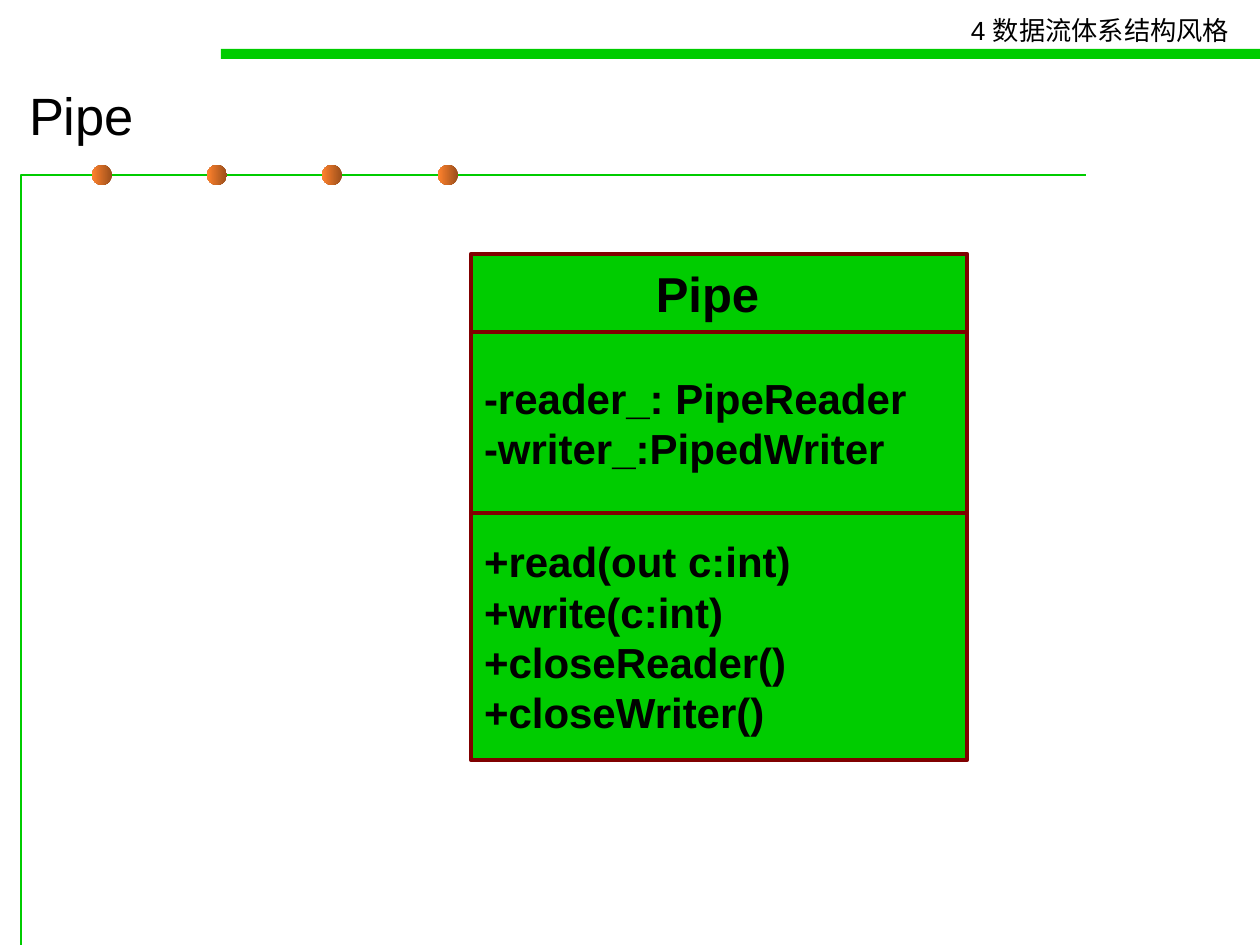
"""Build a slide with a UML class box for Pipe."""
from pptx import Presentation
from pptx.dml.color import RGBColor
from pptx.enum.shapes import MSO_SHAPE
from pptx.enum.text import MSO_ANCHOR, PP_ALIGN
from pptx.util import Emu, Pt

RECTANGLE, OVAL = MSO_SHAPE.RECTANGLE, MSO_SHAPE.OVAL
MIDDLE, LEFT, CENTER = MSO_ANCHOR.MIDDLE, PP_ALIGN.LEFT, PP_ALIGN.CENTER
COLORS = {"green": "00CC00", "maroon": "800000", "black": "000000",
          "dark_orange": "9A4E1B", "orange": "FF822D"}
RGB = {name: RGBColor.from_string(value) for name, value in COLORS.items()}
SCALE = 914400 / 126


def px(*lengths):
    return [Emu(round(length * SCALE)) for length in lengths]


def write(shape, lines, size, align=LEFT, bold=False, right=13):
    frame = shape.text_frame
    margins = px(13, 6, right, 6)
    frame_format = {"word_wrap": True, "vertical_anchor": MIDDLE,
                    "margin_left": margins[0], "margin_top": margins[1],
                    "margin_right": margins[2], "margin_bottom": margins[3]}
    for name, value in frame_format.items():
        setattr(frame, name, value)
    frame.text = "\n".join(lines)
    for paragraph in frame.paragraphs:
        paragraph.alignment = align
        for run in paragraph.runs:
            run.font.color.rgb = RGB["black"]
            for name, value in {"name": "Arial", "size": Pt(size), "bold": bold}.items():
                setattr(run.font, name, value)


presentation = Presentation()
presentation.slide_width, presentation.slide_height = px(1260, 945)
slide = presentation.slides.add_slide(presentation.slide_layouts[5])
shapes = slide.shapes

title = shapes.title
title.left, title.top, title.width, title.height = px(16, 70, 1171, 89)
write(title, ["Pipe"], 30)

builder = shapes.build_freeform(21, 945, scale=SCALE)
builder.add_line_segments([(21, 175), (1086, 175)], close=False)
frame_line = builder.convert_to_shape()
frame_line.shadow.inherit = False
frame_line.fill.background()
frame_line.line.color.rgb = RGB["green"]
frame_line.line.width = Pt(0.75)

for index in range(4):
    dot = shapes.add_shape(OVAL, *px(92 + 346 * index // 3, 165, 20, 20))
    dot.shadow.inherit = False
    dot.line.fill.background()
    dot.fill.gradient()
    dot.fill.gradient_angle = 180
    for stop, color in zip(dot.fill.gradient_stops, ("dark_orange", "orange")):
        stop.color.rgb = RGB[color]

header_bar = shapes.add_shape(RECTANGLE, *px(221, 49, 1039, 10))
header_bar.shadow.inherit = False
header_bar.fill.solid()
header_bar.fill.fore_color.rgb = RGB["green"]
header_bar.line.fill.background()

header = shapes.add_textbox(*px(958, 8, 300, 44))
write(header, ["4 数据流体系结构风格"], 15, right=0)

compartments = [
    (78, ["Pipe"], {"size": 28, "align": CENTER, "right": 36}),
    (181, ["-reader_: PipeReader", "-writer_:PipedWriter"], {"size": 24}),
    (247, ["+read(out c:int)", "+write(c:int)", "+closeReader()", "+closeWriter()"],
     {"size": 24}),
]
top = 254
for height, lines, text_format in compartments:
    compartment = shapes.add_shape(RECTANGLE, *px(471, top, 496, height))
    compartment.shadow.inherit = False
    compartment.fill.solid()
    compartment.fill.fore_color.rgb = RGB["green"]
    compartment.line.color.rgb = RGB["maroon"]
    compartment.line.width = Pt(2.5)
    write(compartment, lines, bold=True, **text_format)
    top += height

presentation.save("out.pptx")
